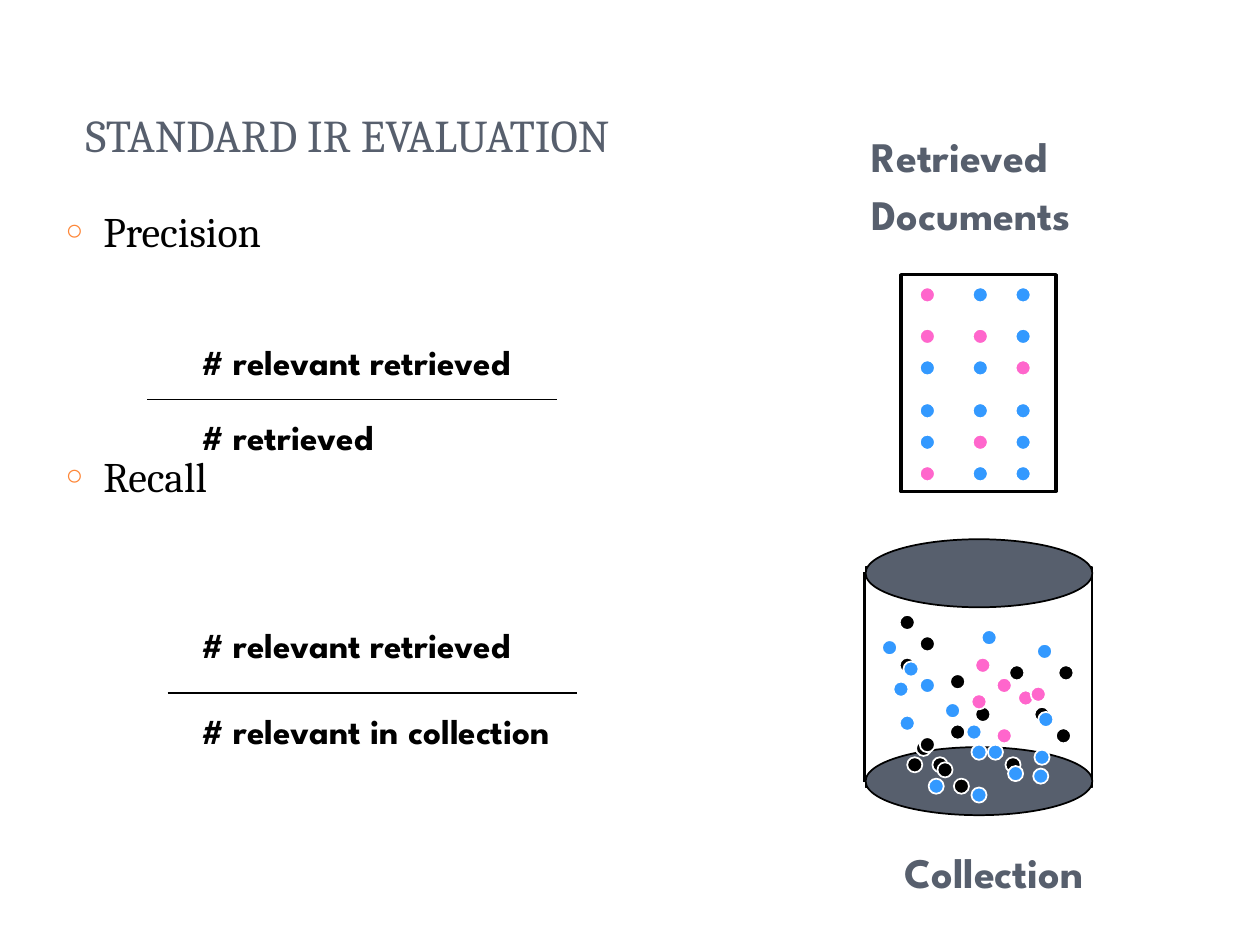
from dataclasses import dataclass
from itertools import product

import pptx
import pptx.dml.color
import pptx.enum.shapes
import pptx.enum.text
import pptx.oxml
import pptx.oxml.ns
import pptx.util

# The slide is a grid of 100 columns by 75 rows; all lengths are in cells
COLUMNS, ROWS = 100, 75
CELL = pptx.util.Inches(0.1)
DOT_SIZE = 1.2


@dataclass(frozen=True)
class Theme:
    slate: str = "575F6D"
    black: str = "000000"
    white: str = "FFFFFF"
    orange: str = "FE8637"
    pink: str = "FF66CC"
    blue: str = "3399FF"
    serif: str = "Cambria"
    sans: str = "League Spartan"
    title_size: int = 26
    body_size: int = 24
    formula_size: int = 20


THEME = Theme()

# Retrieved documents: one string per row, P = relevant, B = not relevant
RETRIEVED_COLUMNS = (73, 77.2, 80.6)
RETRIEVED_ROWS = (22.8, 26.1, 28.6, 32, 34.5, 37)
RETRIEVED_PATTERN = ("PBB", "PPB", "BBP", "BBB", "BPB", "PBB")

# Collection: left and top of each dot, by colour from back to front
COLLECTION_DOTS = {
    THEME.black: (
        (77.4, 56.1), (75.4, 53.5), (80.1, 52.8), (71.4, 48.8), (74, 60.1),
        (82.1, 56.1), (75.4, 57.5), (72.7, 58.8), (72, 60.1), (71.4, 52.2),
        (84, 52.8), (73, 50.5), (83.8, 57.8), (73, 58.5), (75.7, 61.8),
        (74.4, 60.5), (79.8, 60.1)),
    THEME.pink: (
        (77.4, 52.2), (80.8, 54.8), (79.1, 57.8), (77.1, 55.1),
        (79.1, 53.8), (81.8, 54.5)),
    THEME.blue: (
        (70, 50.8), (82.3, 51.1), (82.1, 59.5), (71.4, 56.8), (77.9, 50),
        (82.4, 56.5), (73, 53.8), (77.1, 62.5), (77.1, 59.1), (73.7, 61.8),
        (82, 61), (71.7, 52.5), (70.9, 54.1), (75, 55.8), (76.7, 57.5),
        (78.4, 59.1), (80, 60.8)),
}


def cells(*values):
    return [round(value * CELL) for value in values]


def rgb(color):
    return pptx.dml.color.RGBColor.from_string(color)


def format_runs(paragraph, font_name, size, color, bold=False):
    for run in paragraph.runs:
        run.font.name = font_name
        run.font.size = pptx.util.Pt(size)
        run.font.color.rgb = rgb(color)
        run.font.bold = bold


def place(shape, left, top, width, height):
    shape.left, shape.top, shape.width, shape.height = cells(left, top, width, height)


def add_ring_bullet(paragraph):
    properties = paragraph._p.get_or_add_pPr()
    indent = pptx.util.Inches(0.3)
    properties.set("marL", str(indent))
    properties.set("indent", str(-indent))
    namespace = pptx.oxml.ns.nsdecls("a")
    for xml in (
        f'<a:buClr {namespace}><a:srgbClr val="{THEME.orange}"/></a:buClr>',
        f'<a:buSzPct {namespace} val="70000"/>',
        f'<a:buChar {namespace} char="○"/>',
    ):
        properties.append(pptx.oxml.parse_xml(xml))


def fill_title(slide, text):
    title = slide.shapes.title
    place(title, 5.8, 0.8, 50, 12.5)
    frame = title.text_frame
    frame.text = text
    frame.auto_size = pptx.enum.text.MSO_AUTO_SIZE.NONE
    frame.vertical_anchor = pptx.enum.text.MSO_ANCHOR.BOTTOM
    paragraph = frame.paragraphs[0]
    paragraph.alignment = pptx.enum.text.PP_ALIGN.LEFT
    format_runs(paragraph, THEME.serif, THEME.title_size, THEME.slate)


def fill_body(slide, items, gap):
    body = slide.placeholders[1]
    place(body, 4.2, 15.8, 85, 45)
    frame = body.text_frame
    frame.text = "\n".join(items)
    frame.auto_size = pptx.enum.text.MSO_AUTO_SIZE.NONE
    for index, paragraph in enumerate(frame.paragraphs):
        paragraph.space_before = pptx.util.Pt(gap if index else 0)
        add_ring_bullet(paragraph)
        format_runs(paragraph, THEME.serif, THEME.body_size, THEME.black)


def add_label(slide, text, box, size, color, first_line_spacing=None):
    frame = slide.shapes.add_textbox(*cells(*box)).text_frame
    frame.word_wrap = True
    frame.text = text
    for index, paragraph in enumerate(frame.paragraphs):
        paragraph.space_before = pptx.util.Pt(6 if index else 0)
        format_runs(paragraph, THEME.sans, size, color, bold=True)
    if first_line_spacing:
        frame.paragraphs[0].line_spacing = first_line_spacing


def add_outlined(slide, kind, box, line, fill=None, weight=1):
    shape = slide.shapes.add_shape(kind, *cells(*box))
    shape.shadow.inherit = False
    if fill:
        shape.fill.solid()
        shape.fill.fore_color.rgb = rgb(fill)
    else:
        shape.fill.background()
    shape.line.color.rgb = rgb(line)
    shape.line.width = pptx.util.Pt(weight)


def add_dot(slide, left, top, color):
    add_outlined(slide, pptx.enum.shapes.MSO_SHAPE.OVAL,
                 (left, top, DOT_SIZE, DOT_SIZE), THEME.white, color)


def add_line(slide, start, end):
    line = slide.shapes.add_connector(
        pptx.enum.shapes.MSO_CONNECTOR.STRAIGHT, *cells(*start, *end))
    line.line.color.rgb = rgb(THEME.black)
    line.line.width = pptx.util.Pt(1)
    line._element.spPr.append(pptx.oxml.parse_xml(
        f'<a:effectLst {pptx.oxml.ns.nsdecls("a")}/>'))


def add_fraction(slide, numerator, denominator, tops, bar_left, bar_top):
    for text, top in zip((numerator, denominator), tops):
        add_label(slide, text, (15, top, 36, 5.1), THEME.formula_size, THEME.black)
    add_line(slide, (bar_left, bar_top), (bar_left + 32.5, bar_top))


def add_retrieved(slide):
    add_label(slide, "Retrieved\nDocuments", (68.2, 11.6, 20.6, 5.9),
              THEME.body_size, THEME.slate, first_line_spacing=0.5)
    add_outlined(slide, pptx.enum.shapes.MSO_SHAPE.RECTANGLE,
                 (71.5, 21.8, 12.3, 17.2), THEME.black, weight=2)
    colors = {"P": THEME.pink, "B": THEME.blue}
    for (row, top), (column, left) in product(
            enumerate(RETRIEVED_ROWS), enumerate(RETRIEVED_COLUMNS)):
        add_dot(slide, left, top, colors[RETRIEVED_PATTERN[row][column]])


def add_collection(slide):
    # Cylinder: open wall with a bottom and a top disc
    left, width = 68.7, 18
    add_outlined(slide, pptx.enum.shapes.MSO_SHAPE.RECTANGLE,
                 (left, 45, width, 17.5), THEME.black)
    for top in (59.3, 42.8):
        add_outlined(slide, pptx.enum.shapes.MSO_SHAPE.OVAL,
                     (left, top, width, 5.4), THEME.black, THEME.slate)
    add_line(slide, (68.6, 45.4), (68.6, 62.1))
    for color, positions in COLLECTION_DOTS.items():
        for dot_left, dot_top in positions:
            add_dot(slide, dot_left, dot_top, color)
    add_label(slide, "Collection", (70.8, 66.7, 19.4, 5.9),
              THEME.body_size, THEME.slate)


def main():
    presentation = pptx.Presentation()
    presentation.slide_width, presentation.slide_height = cells(COLUMNS, ROWS)
    slide = presentation.slides.add_slide(presentation.slide_layouts[1])
    fill_title(slide, "STANDARD IR EVALUATION")
    fill_body(slide, ("Precision", "Recall"), gap=111)
    add_fraction(slide, "# relevant retrieved", "# retrieved",
                 (26.5, 32.5), 11.7, 31.7)
    add_fraction(slide, "# relevant retrieved", "# relevant in collection",
                 (49, 55.8), 13.3, 55)
    add_retrieved(slide)
    add_collection(slide)
    presentation.save("out.pptx")


if __name__ == "__main__":
    main()
